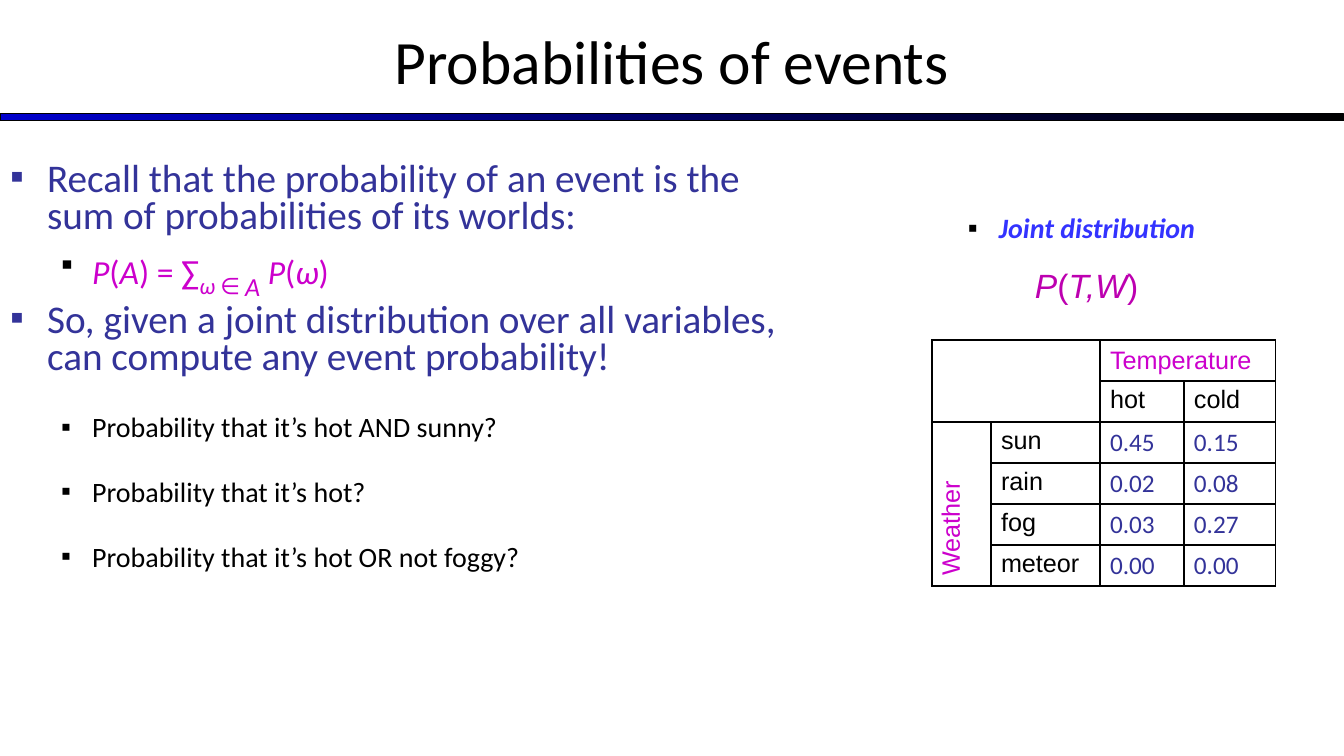
"""Build the slide on probabilities of events, with its joint distribution table."""
from lxml.etree import SubElement
from pptx import Presentation
from pptx.dml.color import RGBColor
from pptx.enum.shapes import MSO_SHAPE
from pptx.enum.text import MSO_ANCHOR, MSO_AUTO_SIZE, PP_ALIGN
from pptx.oxml.ns import qn
from pptx.util import Pt

SCALE = 12192000 / 1344
BLACK = RGBColor(0x00, 0x00, 0x00)
BLUE = RGBColor(0x00, 0x00, 0xCC)
NAVY = RGBColor(0x33, 0x33, 0x99)
BRIGHT = RGBColor(0x33, 0x33, 0xFF)
MAGENTA = RGBColor(0xCC, 0x00, 0xCC)
PURPLE = RGBColor(0xBD, 0x00, 0xB0)


def px(*lengths):
    return [round(length * SCALE) for length in lengths]


def add_span(para, text, color, size, name="Calibri", baseline=0, **formats):
    span = para.add_run()
    span.text = text
    span.font.color.rgb = color
    for key, value in {"size": Pt(size), "name": name, **formats}.items():
        setattr(span.font, key, value)
    if baseline:
        span.font._element.set("baseline", str(baseline))


deck = Presentation()
deck.slide_width, deck.slide_height = px(1344, 756)
page = deck.slides.add_slide(deck.slide_layouts[1])

bar = page.shapes.add_shape(MSO_SHAPE.RECTANGLE, *px(0, 114, 1344, 7))
bar.shadow.inherit = False
bar.fill.gradient()
bar.fill.gradient_angle = 0
for stop, color, position in zip(bar.fill.gradient_stops, (BLUE, BLACK), (0, 1)):
    stop.color.rgb = color
    stop.position = position
bar.line.color.rgb = BLACK
bar.line.width = Pt(0.75)

title, body = page.placeholders
joint = page.shapes.add_textbox(*px(907, 206, 395, 50))
formula = page.shapes.add_textbox(*px(1025, 260, 126, 50))
for box, area in ((title, (0, -3, 1344, 126)), (body, (0, 157, 807, 564))):
    box.left, box.top, box.width, box.height = px(*area)
for box in (title, body, joint):
    box.text_frame.word_wrap = True
    box.text_frame.auto_size = MSO_AUTO_SIZE.NONE
title.text_frame.vertical_anchor = MSO_ANCHOR.MIDDLE
title_para = title.text_frame.paragraphs[0]
title_para.alignment = PP_ALIGN.CENTER
add_span(title_para, "Probabilities of events", BLACK, 44)

event_parts = [
    ("P", 24, True, 0), ("(", 24, False, 0), ("A", 24, True, 0),
    (") = ∑", 24, False, 0), ("ω ", 28, True, -25000),
    ("∈ ", 28, False, -25000), ("A", 32, True, -25000),
    (" P", 24, True, 0), ("(", 24, False, 0), ("ω", 24, True, 0), (")", 24, False, 0),
]
body_items = [
    (0, 0, "Recall that the probability of an event is the sum of probabilities of its worlds:"),
    (1, 6, event_parts),
    (0, 6, "So, given a joint distribution over all variables, can compute any event probability!"),
    (1, 27, "Probability that it’s hot AND sunny?"),
    (1, 27, "Probability that it’s hot?"),
    (1, 27, "Probability that it’s hot OR not foggy?"),
]
bulleted = []
for index, (level, gap, content) in enumerate(body_items):
    frame = body.text_frame
    para = frame.add_paragraph() if index else frame.paragraphs[0]
    para.line_spacing = 0.8
    para.space_before = Pt(gap)
    bulleted.append((para, level))
    if content is event_parts:
        for text, size, italic, baseline in event_parts:
            add_span(para, text, MAGENTA, size, baseline=baseline, italic=italic)
    else:
        add_span(para, content, BLACK if level else NAVY, 20 if level else 28)

joint_para = joint.text_frame.paragraphs[0]
joint_para.space_before = Pt(0)
add_span(joint_para, "Joint distribution", BRIGHT, 20, bold=True, italic=True)
bulleted.append((joint_para, 1))

for para, level in bulleted:
    para.level = level
    margin, indent = px(82, -31) if level else px(37, -37)
    properties = para._p.get_or_add_pPr()
    properties.set("marL", str(margin))
    properties.set("indent", str(indent))
    bullet_color = SubElement(properties, qn("a:buClr"))
    SubElement(bullet_color, qn("a:srgbClr")).set("val", str(BLACK if level else NAVY))
    SubElement(properties, qn("a:buFont")).set("typeface", "Arial")
    SubElement(properties, qn("a:buChar")).set("char", "▪")

formula.text_frame.word_wrap = False
for text, italic in (("P", True), ("(", False), ("T,W", True), (")", False)):
    add_span(formula.text_frame.paragraphs[0], text, PURPLE, 24, "Arial", italic=italic)

rows = [
    ["", "", "Temperature", ""],
    ["", "", "hot", "cold"],
    ["Weather", "sun", "0.45", "0.15"],
    ["", "rain", "0.02", "0.08"],
    ["", "fog", "0.03", "0.27"],
    ["", "meteor", "0.00", "0.00"],
]
table = page.shapes.add_table(6, 4, *px(932, 340, 344, 246)).table
table.first_row = table.horz_banding = False
for column, width in zip(table.columns, px(59, 109, 84, 92)):
    column.width = width
for row_index, texts in enumerate(rows):
    table.rows[row_index].height = px(41)[0]
    for column_index, text in enumerate(texts):
        cell = table.cell(row_index, column_index)
        properties = cell._tc.get_or_add_tcPr()
        for side in ("a:lnL", "a:lnR", "a:lnT", "a:lnB"):
            border = SubElement(properties, qn(side), w=str(Pt(1)))
            line_fill = SubElement(border, qn("a:solidFill"))
            SubElement(line_fill, qn("a:srgbClr")).set("val", str(BLACK))
        cell.fill.background()
        is_value = row_index > 1 and column_index > 1
        is_heading = text in ("Temperature", "Weather")
        if is_heading:
            cell.vertical_anchor = MSO_ANCHOR.MIDDLE
        if text:
            color = NAVY if is_value else MAGENTA if is_heading else BLACK
            font_name = "Calibri" if is_value else "Arial"
            add_span(cell.text_frame.paragraphs[0], text, color, 18, font_name)
for first, last in (((0, 0), (1, 1)), ((0, 2), (0, 3)), ((2, 0), (5, 0))):
    table.cell(*first).merge(table.cell(*last))
table.cell(2, 0)._tc.get_or_add_tcPr().set("vert", "vert270")

deck.save("out.pptx")
